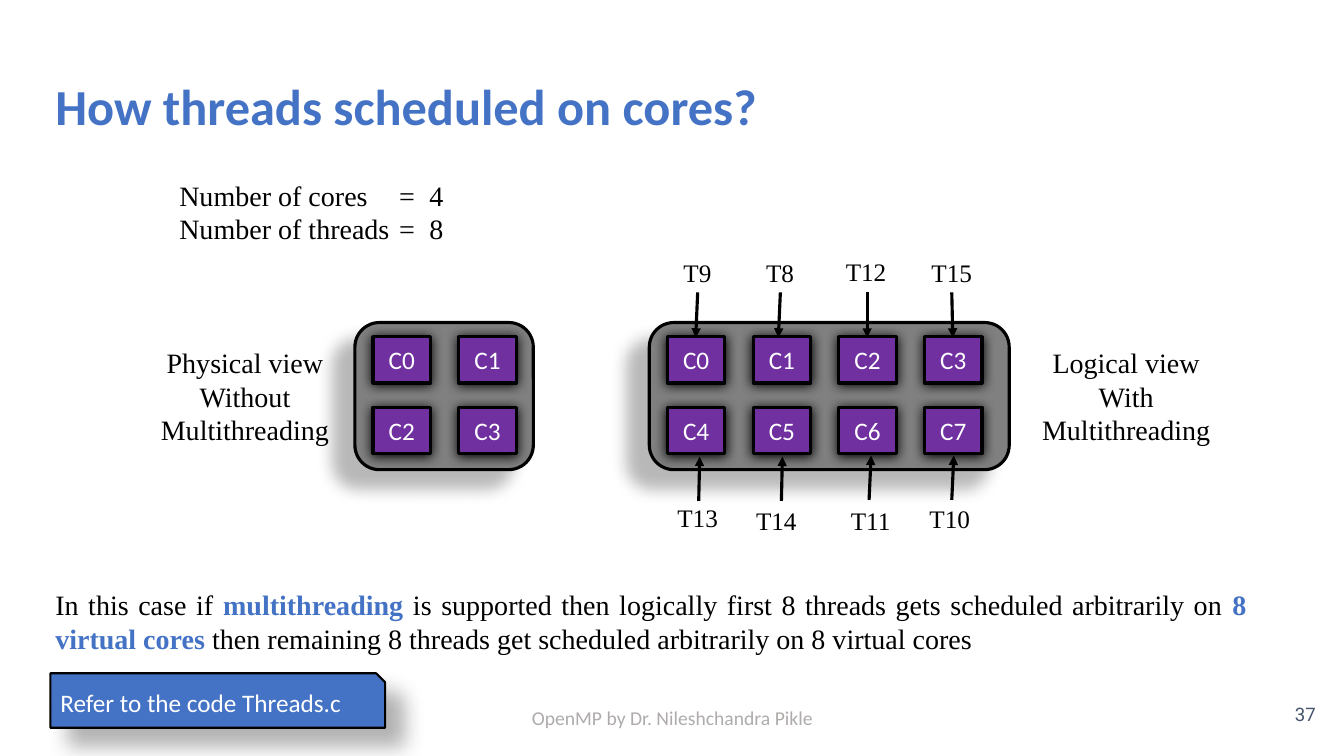
import dataclasses
import typing

import lxml.etree
import pptx
import pptx.dml.color
import pptx.enum.shapes
import pptx.enum.text
import pptx.oxml.ns
import pptx.util

Inches = pptx.util.Inches
Pt = pptx.util.Pt
qn = pptx.oxml.ns.qn
Kind = pptx.enum.shapes.MSO_SHAPE
Align = pptx.enum.text.PP_ALIGN
Anchor = pptx.enum.text.MSO_ANCHOR
Box = tuple[float, float, float, float]


@dataclasses.dataclass(frozen=True)
class Theme:
    accent: str = "4472C4"
    black: str = "000000"
    white: str = "FFFFFF"
    chip: str = "808080"
    core: str = "7030A0"
    footer: str = "AFABAB"
    number: str = "44546A"
    sans: str = "Calibri"
    serif: str = "Times New Roman"
    number_font: str = "Roboto"
    title_size: float = 36
    body_size: float = 20
    label_size: float = 18
    footer_size: float = 14
    number_size: float = 13.3
    line: float = 2.25
    note_line: float = 1.5


T = Theme()


@dataclasses.dataclass(frozen=True)
class Style:
    font: str
    size: float
    color: str
    bold: bool = False
    align: Align = Align.LEFT


@dataclasses.dataclass(frozen=True)
class Shadow:
    alpha: int
    blur: float
    dist: float
    angle: int


@dataclasses.dataclass(frozen=True)
class Chip:
    left: float
    width: float
    columns: int


@dataclasses.dataclass(frozen=True)
class Thread:
    name: str
    label: tuple[float, float]
    start: tuple[float, float]
    tip: tuple[float, float]


TITLE = Style(T.sans, T.title_size, T.accent, True)
NUMBER = Style(T.number_font, T.number_size, T.number, align=Align.RIGHT)
FOOTER = Style(T.sans, T.footer_size, T.footer, align=Align.CENTER)
BODY = Style(T.serif, T.body_size, T.black)
VIEW = dataclasses.replace(BODY, align=Align.CENTER)
JUSTIFIED = dataclasses.replace(BODY, align=Align.JUSTIFY)
STRONG = dataclasses.replace(JUSTIFIED, color=T.accent, bold=True)
THREAD = Style(T.serif, T.label_size, T.black)
CORE = Style(T.sans, T.label_size, T.white, align=Align.CENTER)
NOTE = Style(T.sans, T.label_size, T.white)

CHIP_SHADOW = Shadow(28, 11.8, 19.7, 141)
CORE_SHADOW = Shadow(100, 8.5, 1, 90)
NOTE_SHADOW = Shadow(30, 15, 18, 45)

CHIPS = [Chip(3.52, 1.77, 2), Chip(6.44, 3.57, 4)]
THREADS = [
    Thread("T9", (6.68, 2.5), (6.92, 2.9), (6.9, 3.35)),
    Thread("T8", (7.5, 2.5), (7.74, 2.9), (7.72, 3.35)),
    Thread("T12", (8.29, 2.49), (8.6, 2.9), (8.6, 3.35)),
    Thread("T15", (9.14, 2.5), (9.44, 2.9), (9.45, 3.35)),
    Thread("T13", (6.62, 4.93), (6.93, 4.97), (6.94, 4.53)),
    Thread("T14", (7.4, 4.96), (7.75, 4.97), (7.76, 4.53)),
    Thread("T11", (8.34, 4.96), (8.62, 4.96), (8.64, 4.52)),
    Thread("T10", (9.12, 4.94), (9.44, 4.96), (9.46, 4.52)),
]
SUMMARY = [
    ("In this case if ", JUSTIFIED),
    ("multithreading", STRONG),
    (" is supported then logically first 8 threads gets scheduled arbitrarily on ", JUSTIFIED),
    ("8 virtual cores ", STRONG),
    ("then remaining 8 threads get scheduled arbitrarily on 8 virtual cores", JUSTIFIED),
]


def rgb(color: str) -> pptx.dml.color.RGBColor:
    return pptx.dml.color.RGBColor.from_string(color)


def format_run(r: typing.Any, style: Style) -> None:
    r.font.name = style.font
    r.font.size = Pt(style.size)
    r.font.bold = style.bold
    r.font.color.rgb = rgb(style.color)


def write(tf: typing.Any, text: str, style: Style) -> None:
    tf.text = text
    for p in tf.paragraphs:
        p.alignment = style.align
        for r in p.runs:
            format_run(r, style)


def add_text(s: typing.Any, box: Box, text: str, style: Style, wrap: bool = True) -> typing.Any:
    tf = s.shapes.add_textbox(*map(Inches, box)).text_frame
    tf.word_wrap = wrap
    write(tf, text, style)
    return tf


def add_tabs(tf: typing.Any, stops: list[float]) -> None:
    for p in tf.paragraphs:
        tabs = lxml.etree.SubElement(p._p.get_or_add_pPr(), qn("a:tabLst"))
        for stop in stops:
            lxml.etree.SubElement(tabs, qn("a:tab"), pos=str(Inches(stop)), algn="l")


def add_block(shapes: typing.Any, kind: Kind, box: Box, fill: str, shadow: Shadow, line: float = T.line) -> typing.Any:
    sp = shapes.add_shape(kind, *map(Inches, box))
    sp.fill.solid()
    sp.fill.fore_color.rgb = rgb(fill)
    sp.line.color.rgb = rgb(T.black)
    sp.line.width = Pt(line)
    sp.shadow.inherit = False
    outer = lxml.etree.SubElement(
        sp._element.spPr.find(qn("a:effectLst")), qn("a:outerShdw"),
        blurRad=str(Pt(shadow.blur)), dist=str(Pt(shadow.dist)),
        dir=str(shadow.angle * 60000), algn="ctr", rotWithShape="0")
    color = lxml.etree.SubElement(outer, qn("a:srgbClr"), val=T.black)
    lxml.etree.SubElement(color, qn("a:alpha"), val=str(shadow.alpha * 1000))
    return sp


def add_chip(s: typing.Any, chip: Chip) -> None:
    shapes = s.shapes.add_group_shape().shapes
    add_block(shapes, Kind.ROUNDED_RECTANGLE, (chip.left, 3.2, chip.width, 1.46), T.chip, CHIP_SHADOW)
    for i in range(2 * chip.columns):
        row, col = divmod(i, chip.columns)
        box = (chip.left + 0.18 + 0.85 * col, 3.34 + 0.7 * row, 0.57, 0.46)
        sp = add_block(shapes, Kind.RECTANGLE, box, T.core, CORE_SHADOW)
        sp.text_frame.vertical_anchor = Anchor.MIDDLE
        write(sp.text_frame, f"C{i}", CORE)


def add_thread(s: typing.Any, thread: Thread) -> None:
    add_text(s, (*thread.label, 0.68, 0.4), thread.name, THREAD)
    c = s.shapes.add_connector(pptx.enum.shapes.MSO_CONNECTOR.STRAIGHT, *map(Inches, thread.start + thread.tip))
    c.line.color.rgb = rgb(T.black)
    c.line.width = Pt(T.line)
    props = c._element.spPr
    lxml.etree.SubElement(props.find(qn("a:ln")), qn("a:tailEnd"), type="triangle")
    lxml.etree.SubElement(props, qn("a:effectLst"))


def main() -> None:
    """Build the slide on scheduling threads over cores."""
    prs = pptx.Presentation()
    prs.slide_width, prs.slide_height = Inches(13.33), Inches(7.5)
    s = prs.slides.add_slide(prs.slide_layouts[6])
    tf = add_text(s, (0.45, 0.65, 12.42, 0.84), "How threads scheduled on cores?", TITLE)
    tf.margin_top = tf.margin_bottom = Inches(0.1)
    tf = add_text(s, (12.35, 6.8, 0.8, 0.57), "37", NUMBER)
    tf.vertical_anchor = Anchor.MIDDLE
    add_text(s, (4.42, 6.95, 4.5, 0.4), "OpenMP by Dr. Nileshchandra Pikle", FOOTER)
    tf = add_text(s, (1.68, 1.72, 2.87, 0.77), "Number of cores\t=\t4\nNumber of threads\t=\t8", BODY)
    add_tabs(tf, [2.18, 2.48])
    for chip in CHIPS:
        add_chip(s, chip)
    for left, view in ((1.45, "Physical view\nWithout"), (10.19, "Logical view\nWith")):
        add_text(s, (left, 3.38, 1.96, 1.11), f"{view}\nMultithreading", VIEW, wrap=False)
    for thread in THREADS:
        add_thread(s, thread)
    tf = add_text(s, (0.45, 5.78, 12.01, 0.77), "", JUSTIFIED)
    for text, style in SUMMARY:
        r = tf.paragraphs[0].add_run()
        r.text = text
        format_run(r, style)
    sp = add_block(s.shapes, Kind.SNIP_1_RECTANGLE, (0.5, 6.68, 3.32, 0.54), T.accent, NOTE_SHADOW, T.note_line)
    sp.text_frame.vertical_anchor = Anchor.MIDDLE
    write(sp.text_frame, "Refer to the code Threads.c", NOTE)
    prs.save("out.pptx")


if __name__ == "__main__":
    main()
